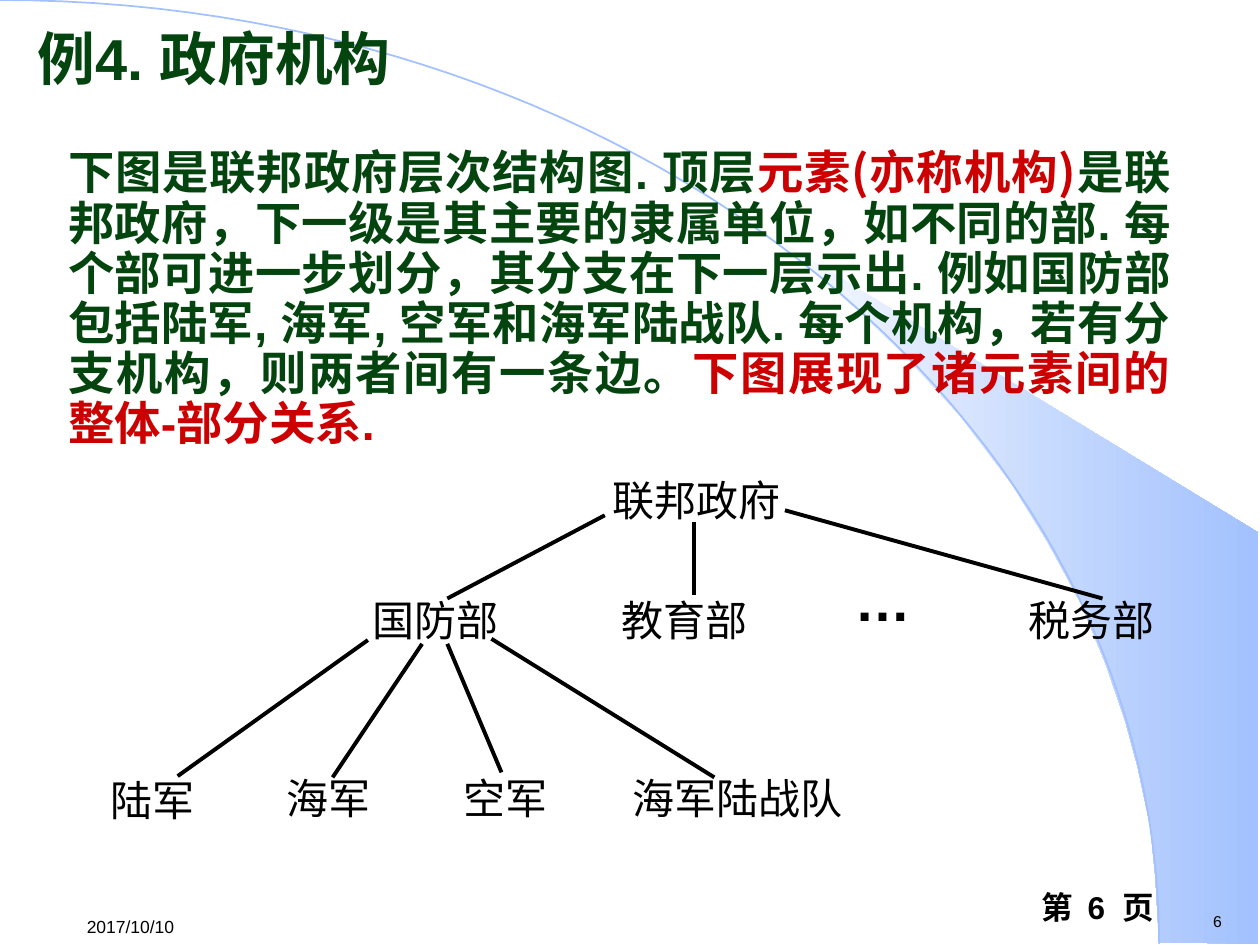
from lxml import etree
from pptx import Presentation
from pptx import util as u
from pptx.dml.color import RGBColor
from pptx.enum import shapes, text
from pptx.oxml.ns import qn

FONT, CJK_FONT = "Arial", "Noto Sans CJK SC"
GREEN, RED, BLACK = "04440F", "CC0000", "000000"
WHITE, BLUE = "FFFFFF", "A2C1FE"

WEDGE = [(9.2, 7.48), (9.99, 7.49), (9.99, 4.23), (5.89, 1.73), (6.24, 1.99),
         (6.53, 2.22), (6.85, 2.5), (7.16, 2.8), (7.62, 3.3), (8.03, 3.84),
         (8.32, 4.31), (8.58, 4.79), (8.78, 5.28), (8.93, 5.72),
         (9.03, 6.09), (9.13, 6.56), (9.17, 6.96)]

# Tree labels: text, left, top, width
NODES = [
    ("联邦政府", 4.8, 3.77, 1.46),
    ("国防部", 2.95, 4.72, 1.02),
    ("教育部", 4.92, 4.72, 1.02),
    ("税务部", 8.11, 4.72, 1.1),
    ("陆军", 0.7, 6.15, 1.02),
    ("海军", 2.1, 6.13, 1.02),
    ("空军", 3.5, 6.13, 1.02),
    ("海军陆战队", 4.93, 6.13, 1.85),
]
# Tree edges: x and y of the parent end, then of the child end
EDGES = [
    (4.8, 4.09, 3.55, 4.75),
    (5.51, 4.14, 5.51, 4.72),
    (6.23, 4.05, 8.75, 4.75),
    (2.92, 5.08, 1.41, 6.16),
    (3.35, 5.11, 2.64, 6.17),
    (3.55, 5.11, 3.98, 6.13),
    (3.9, 5.07, 5.67, 6.17),
]
BODY = [
    ("下图是联邦政府层次结构图. 顶层", GREEN, FONT),
    ("元素", RED, FONT),
    ("(", RED, CJK_FONT),
    ("亦称机构", RED, FONT),
    (")", RED, CJK_FONT),
    ("是联邦政府，下一级是其主要的隶属单位，如不同的部. 每个部可进一步划分，"
     "其分支在下一层示出. 例如国防部包括陆军, 海军, 空军和海军陆战队. "
     "每个机构，若有分支机构，则两者间有一条边。", GREEN, FONT),
    ("下图展现了诸元素间的整体-部分关系.", RED, FONT),
]


def rgb(value):
    return RGBColor.from_string(value)


def set_font(font, size, color=BLACK, bold=False):
    font.name, font.size, font.bold = FONT, u.Pt(size), bold
    font.color.rgb = rgb(color)


def add_outline(slide, points, close):
    start, *rest = [(u.Inches(x), u.Inches(y)) for x, y in points]
    builder = slide.shapes.build_freeform(*start)
    builder.add_line_segments(rest, close=close)
    shape = builder.convert_to_shape()
    shape.shadow.inherit = False
    return shape


def arc_points(steps=60):
    """Points along a cubic curve from the top left to the bottom right."""
    for step in range(steps + 1):
        t = step / steps
        s = 1 - t
        yield (3 * s * s * t * 5.08 + (3 * s * t * t + t ** 3) * 9.2,
               3 * s * t * t * 3.35 + t ** 3 * 7.49)


def add_background(slide):
    wedge = add_outline(slide, WEDGE, close=True)
    wedge.line.fill.background()
    wedge.fill.gradient()
    wedge.fill.gradient_angle = 0
    for stop, position, color in zip(wedge.fill.gradient_stops, (0, 1), (WHITE, BLUE)):
        stop.position = position
        stop.color.rgb = rgb(color)
    arc = add_outline(slide, arc_points(), close=False)
    arc.fill.background()
    arc.line.color.rgb = rgb(BLUE)
    arc.line.width = u.Pt(1)


def add_text(slide, place, words, size, bold=False, margins=(0.1, 0.05, 0.1, 0.05),
             wrap=True):
    box = slide.shapes.add_textbox(*map(u.Inches, place))
    frame = box.text_frame
    frame.word_wrap = wrap
    (frame.margin_left, frame.margin_top,
     frame.margin_right, frame.margin_bottom) = map(u.Inches, margins)
    para = frame.paragraphs[0]
    para.text = words
    set_font(para.font, size, bold=bold)
    return box


def add_label(slide, place, words, size=24, bold=False):
    box = add_text(slide, place, words, size, bold, margins=(0, 0, 0, 0))
    para = box.text_frame.paragraphs[0]
    para.alignment = text.PP_ALIGN.CENTER
    return para


def add_edge(slide, ends):
    edge = slide.shapes.add_connector(shapes.MSO_CONNECTOR.STRAIGHT, *map(u.Inches, ends))
    edge.line.color.rgb = rgb(BLACK)
    edge.line.width = u.Pt(2.25)
    etree.SubElement(edge._element.spPr, qn("a:effectLst"))


def add_body(slide):
    box = add_text(slide, (0.34, 1.14, 9.19, 2.49), "", 26.5, True,
                   margins=(0.2, 0.05, 0.24, 0.05))
    para = box.text_frame.paragraphs[0]
    para.alignment = text.PP_ALIGN.JUSTIFY
    para.line_spacing = 0.9
    for words, color, font in BODY:
        span = para.add_run()
        span.text = words
        span.font.name = font
        span.font.color.rgb = rgb(color)


def set_title(slide, words):
    title = slide.shapes.title
    title.left, title.top, title.width, title.height = map(
        u.Inches, (0.2, 0.13, 3.57, 0.66))
    frame = title.text_frame
    frame.text = words
    frame.auto_size = text.MSO_AUTO_SIZE.NONE
    frame.vertical_anchor = text.MSO_ANCHOR.TOP
    para = frame.paragraphs[0]
    para.alignment = text.PP_ALIGN.LEFT
    set_font(para.font, 33, GREEN, True)
    # Bring the title in front of the background
    slide.shapes._spTree.append(title._element)


def main():
    deck = Presentation()
    deck.slide_width, deck.slide_height = u.Inches(10), u.Inches(7.5)
    slide = deck.slides.add_slide(deck.slide_layouts[5])
    add_background(slide)

    # Footer
    add_text(slide, (9.53, 7.19, 0.35, 0.25), "6", 9, wrap=False)
    date = add_text(slide, (0.59, 7.2, 1.02, 0.3), "2017/10/10", 10, wrap=False)
    date.text_frame.vertical_anchor = text.MSO_ANCHOR.MIDDLE
    add_text(slide, (8.17, 7, 1.83, 0.5), "第  6  页", 18, bold=True)

    # Hierarchy tree
    for words, left, top, width in NODES:
        add_label(slide, (left, top, width, 0.4), words)
    dots = add_label(slide, (6.65, 4.68, 0.71, 0.32), "…", 32, bold=True)
    dots.line_spacing = 0.6
    for ends in EDGES:
        add_edge(slide, ends)

    add_body(slide)
    set_title(slide, "例4. 政府机构")
    deck.save("out.pptx")


if __name__ == "__main__":
    main()
